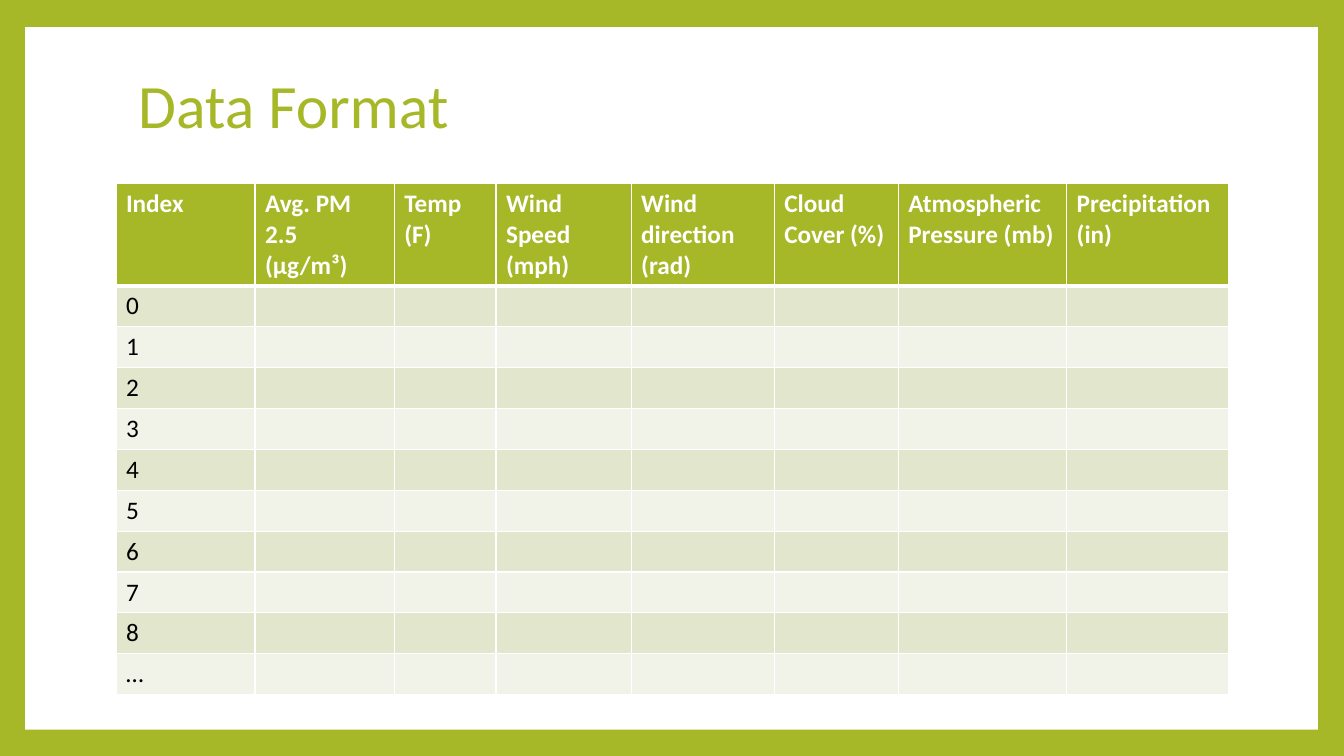
from lxml.etree import SubElement
from pptx import Presentation
from pptx.dml.color import RGBColor
from pptx.enum.shapes import MSO_SHAPE
from pptx.enum.text import MSO_ANCHOR, PP_ALIGN
from pptx.oxml.ns import qn
from pptx.util import Inches, Pt

FONT = "Calibri"
GREEN, WHITE, BLACK = "A6B727", "FFFFFF", "000000"
BANDS = ("E1E6CD", "F1F3E8")
COLUMNS = {
    "Index": 1.38,
    "Avg. PM 2.5 (µg/m³)": 1.38,
    "Temp (F)": 1.01,
    "Wind Speed (mph)": 1.34,
    "Wind direction (rad)": 1.42,
    "Cloud Cover (%)": 1.23,
    "Atmospheric Pressure (mb)": 1.67,
    "Precipitation (in)": 1.61,
}
INDEXES = [*map(str, range(9)), "…"]
TABLE_LEFT, TABLE_TOP, TABLE_HEIGHT = 1.15, 1.82, 5.06
HEADER_HEIGHT = 1.01


def paint(color_holder, color):
    """Give a fill a solid colour."""
    color_holder.solid()
    color_holder.fore_color.rgb = RGBColor.from_string(color)


def format_paragraph(paragraph, size, color, bold=False):
    """Set the font and left alignment of a paragraph."""
    paragraph.alignment = PP_ALIGN.LEFT
    font = paragraph.font
    font.name, font.size, font.bold = FONT, Pt(size), bold
    font.color.rgb = RGBColor.from_string(color)


def add_panel(slide, width, height):
    """Add the white panel that leaves a green frame, behind everything else."""
    panel = slide.shapes.add_shape(
        MSO_SHAPE.RECTANGLE, Inches(0.25), Inches(0.27), width - Inches(0.51), height - Inches(0.53)
    )
    panel.shadow.inherit = False
    paint(panel.fill, WHITE)
    panel.line.fill.background()
    slide.shapes._spTree.insert(2, panel._element)


def set_title(slide, text):
    """Place and format the slide title."""
    title = slide.shapes.title
    title.left, title.top = Inches(1.27), Inches(0.34)
    title.width, title.height = Inches(10.8), Inches(1.48)
    title.text_frame.text = text
    title.text_frame.vertical_anchor = MSO_ANCHOR.MIDDLE
    paragraph = title.text_frame.paragraphs[0]
    paragraph.line_spacing = 0.9
    format_paragraph(paragraph, 44, GREEN)


def set_borders(cell, top, bottom):
    """Draw white borders round a cell, with the given top and bottom widths."""
    properties = cell._tc.get_or_add_tcPr()
    for side, width in (("L", 1), ("R", 1), ("T", top), ("B", bottom)):
        line = SubElement(properties, qn(f"a:ln{side}"), w=str(Pt(width)))
        SubElement(SubElement(line, qn("a:solidFill")), qn("a:srgbClr"), val=WHITE)


def format_cell(cell, row):
    """Style a cell as header or as part of a band."""
    header = row == 0
    set_borders(cell, 3 if row == 1 else 1, 3 if header else 1)
    paint(cell.fill, GREEN if header else BANDS[(row - 1) % 2])
    format_paragraph(cell.text_frame.paragraphs[0], 18, WHITE if header else BLACK, header)


def add_data_table(slide):
    """Add the table of measurements with its header and index column."""
    rows = [list(COLUMNS)] + [[index] + [""] * (len(COLUMNS) - 1) for index in INDEXES]
    table = slide.shapes.add_table(
        len(rows), len(COLUMNS), Inches(TABLE_LEFT), Inches(TABLE_TOP),
        Inches(sum(COLUMNS.values())), Inches(TABLE_HEIGHT),
    ).table
    for column, width in zip(table.columns, COLUMNS.values()):
        column.width = Inches(width)
    for row, texts in enumerate(rows):
        body_height = (TABLE_HEIGHT - HEADER_HEIGHT) / len(INDEXES)
        table.rows[row].height = Inches(body_height if row else HEADER_HEIGHT)
        for column, text in enumerate(texts):
            cell = table.cell(row, column)
            if text:
                cell.text = text
            format_cell(cell, row)


def main():
    """Build the slide and save it."""
    presentation = Presentation()
    presentation.slide_width, presentation.slide_height = Inches(13.33), Inches(7.5)
    slide = presentation.slides.add_slide(presentation.slide_layouts.get_by_name("Title Only"))
    paint(slide.background.fill, GREEN)
    add_panel(slide, presentation.slide_width, presentation.slide_height)
    set_title(slide, "Data Format")
    add_data_table(slide)
    presentation.save("out.pptx")


if __name__ == "__main__":
    main()
